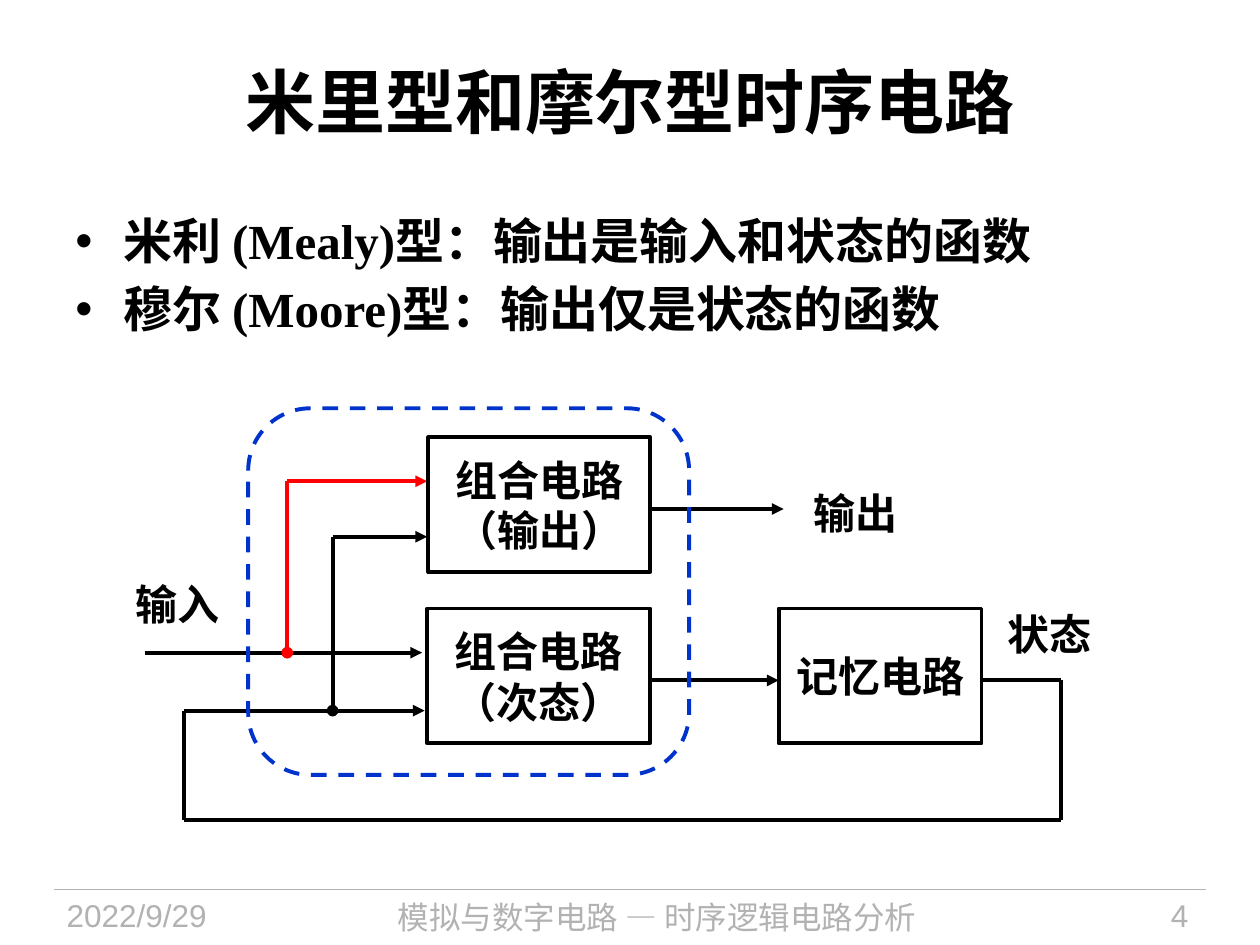
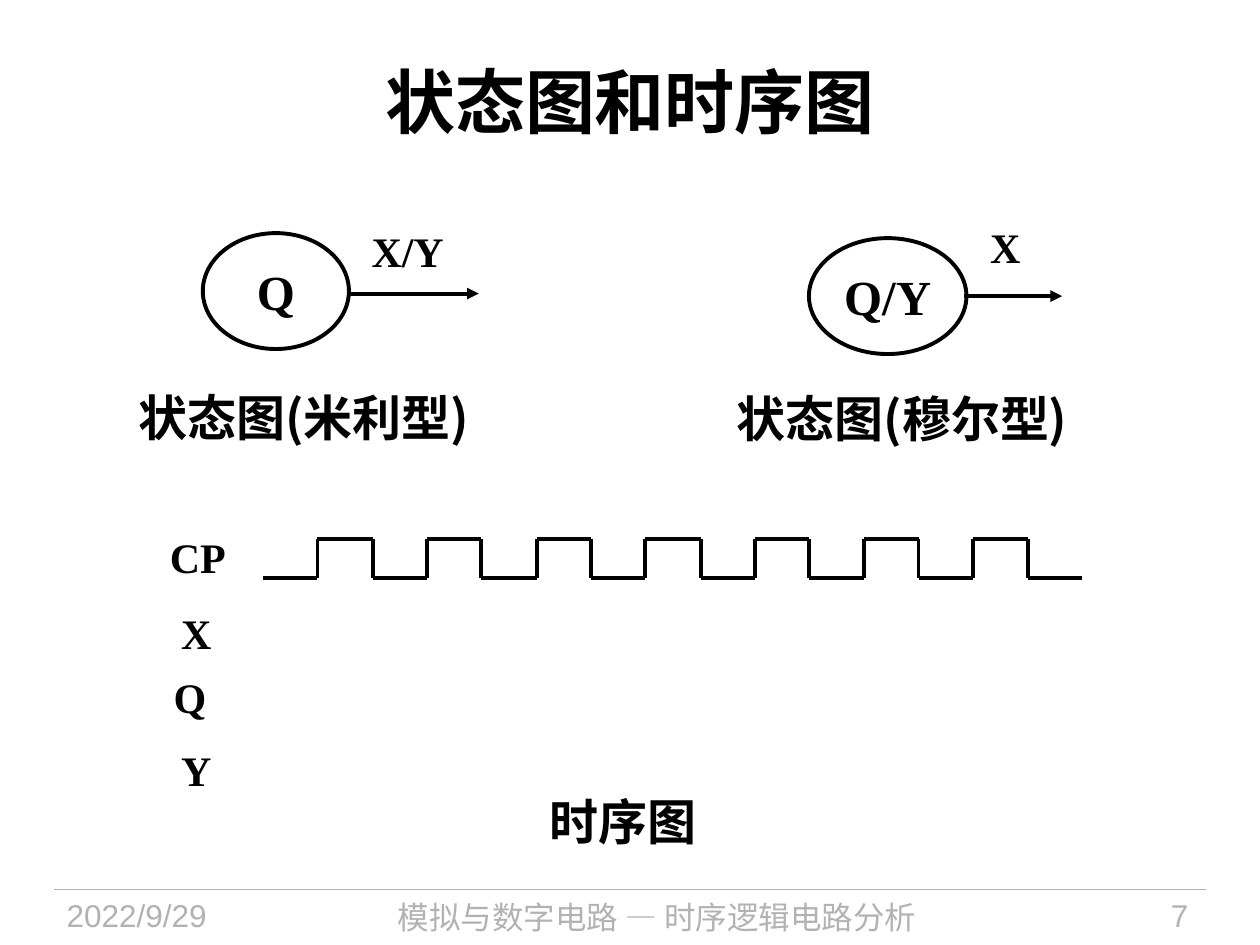
from dataclasses import dataclass

from lxml import etree
from pptx import Presentation
from pptx.dml.color import RGBColor
from pptx.enum.dml import MSO_LINE
from pptx.enum.shapes import MSO_CONNECTOR, MSO_SHAPE
from pptx.enum.text import MSO_ANCHOR, PP_ALIGN
from pptx.oxml.ns import qn
from pptx.util import Pt

PX = 9144
LEFT, CENTER, RIGHT = PP_ALIGN.LEFT, PP_ALIGN.CENTER, PP_ALIGN.RIGHT
TOP, MIDDLE = MSO_ANCHOR.TOP, MSO_ANCHOR.MIDDLE
RECT, ROUND, OVAL = MSO_SHAPE.RECTANGLE, MSO_SHAPE.ROUNDED_RECTANGLE, MSO_SHAPE.OVAL
STRAIGHT = MSO_CONNECTOR.STRAIGHT
DASH = MSO_LINE.DASH
ARIAL, TIMES, CJK = "Arial", "Times New Roman", "Noto Sans CJK SC"
COLORS = {"ink": "000000", "paper": "FFFFFF", "footer": "B2B2B2", "mealy": "FF0000", "frame": "0033CC"}
BLANK = 6


@dataclass
class Wire:
    x1: int
    y1: int
    x2: int
    y2: int
    tail: str = ""
    color: str = "ink"
    width: float = 2.25


@dataclass
class Node:
    x: int
    y: int
    w: int
    h: int
    text: str = ""
    kind: int = RECT
    font: str = ARIAL
    size: int = 24
    leading: float = 0
    fill: str = ""
    line: str = "ink"


@dataclass
class Label:
    x: int
    y: int
    w: int
    h: int
    text: str
    align: int = LEFT
    size: int = 24
    font: str = TIMES
    leading: float = 0
    wrap: bool = False
    indent: int = 0


def rgb(name: str) -> RGBColor:
    return RGBColor.from_string(COLORS[name])


def write(tf, text: str, *, size: int = 24, font: str = TIMES, color: str = "ink", bold: bool = True,
          align: int = LEFT, anchor: int = TOP, wrap: bool = True, leading: float = 0,
          before: float = 0, indent: int = 0, bullet: str = "") -> None:
    tf.word_wrap = wrap
    tf.vertical_anchor = anchor
    for i, line in enumerate(text.split("\n")):
        p = tf.paragraphs[0] if i == 0 else tf.add_paragraph()
        p.alignment = align
        if leading:
            p.line_spacing = Pt(leading)
        if i and before:
            p.space_before = Pt(before)
        pPr = p._p.get_or_add_pPr()
        if bullet:
            pPr.set("marL", str(indent * PX))
            pPr.set("indent", str(-indent * PX))
            etree.SubElement(pPr, qn("a:buFont")).set("typeface", ARIAL)
            etree.SubElement(pPr, qn("a:buChar")).set("char", bullet)
        elif indent:
            pPr.set("indent", str(indent * PX))
        r = p.add_run()
        r.text = line
        r.font.size = Pt(size)
        r.font.bold = bold
        r.font.name = font
        r.font.color.rgb = rgb(color)
        etree.SubElement(r._r.get_or_add_rPr(), qn("a:ea")).set("typeface", CJK)


def add_text(s, x: int, y: int, w: int, h: int, text: str, **fmt) -> None:
    box = s.shapes.add_textbox(x * PX, y * PX, w * PX, h * PX)
    write(box.text_frame, text, **fmt)


def add_label(s, label: Label) -> None:
    add_text(s, label.x, label.y, label.w, label.h, label.text, align=label.align, size=label.size,
             font=label.font, leading=label.leading, wrap=label.wrap, indent=label.indent)


def add_wire(s, wire: Wire) -> None:
    cxn = s.shapes.add_connector(STRAIGHT, wire.x1 * PX, wire.y1 * PX, wire.x2 * PX, wire.y2 * PX)
    cxn.line.color.rgb = rgb(wire.color)
    cxn.line.width = Pt(wire.width)
    if wire.tail:
        etree.SubElement(cxn.line._get_or_add_ln(), qn("a:tailEnd")).set("type", wire.tail)
    etree.SubElement(cxn._element.spPr, qn("a:effectLst"))


def add_node(s, node: Node):
    sp = s.shapes.add_shape(node.kind, node.x * PX, node.y * PX, node.w * PX, node.h * PX)
    sp.shadow.inherit = False
    if node.fill:
        sp.fill.solid()
        sp.fill.fore_color.rgb = rgb(node.fill)
    else:
        sp.fill.background()
    sp.line.color.rgb = rgb(node.line)
    sp.line.width = Pt(2.25)
    if node.text:
        tf = sp.text_frame
        tf.margin_left = tf.margin_top = tf.margin_right = tf.margin_bottom = 0
        write(tf, node.text, size=node.size, font=node.font, align=CENTER, anchor=MIDDLE,
              wrap=False, leading=node.leading)
    return sp


def add_slide(prs, title: str, number: int):
    s = prs.slides.add_slide(prs.slide_layouts[BLANK])
    add_wire(s, Wire(43, 706, 957, 706, color="footer", width=0.75))
    for x, w, text, align, font in (
        (43, 188, "2022/9/29", LEFT, ARIAL),
        (240, 563, "模拟与数字电路 — 时序逻辑电路分析", CENTER, CJK),
        (820, 133, str(number), RIGHT, ARIAL),
    ):
        add_text(s, x, 706, w, 44, text, size=18, font=font, color="footer", bold=False,
                 align=align, leading=0 if font == ARIAL else 23)
    add_text(s, 50, 17, 900, 125, title, size=40, align=CENTER, anchor=MIDDLE)
    return s


def build_circuit_models(prs) -> None:
    s = add_slide(prs, "米里型和摩尔型时序电路", 4)
    add_text(s, 50, 159, 900, 141,
             "米利 (Mealy)型：输出是输入和状态的函数\n穆尔 (Moore)型：输出仅是状态的函数",
             size=28, leading=36, before=3, indent=38, bullet="•")
    add_node(s, Node(618, 483, 161, 107, "记忆电路"))
    for wire in (
        Wire(115, 518, 335, 518, "triangle"),
        Wire(146, 564, 337, 564, "triangle"),
        Wire(264, 426, 339, 426, "triangle"),
        Wire(264, 426, 264, 564, "oval"),
        Wire(228, 382, 339, 382, "triangle", "mealy"),
        Wire(228, 382, 228, 518, "oval", "mealy"),
        Wire(512, 540, 618, 540, "triangle"),
        Wire(779, 540, 842, 540),
        Wire(842, 540, 842, 651),
        Wire(146, 651, 842, 651),
        Wire(146, 564, 146, 651),
        Wire(512, 404, 622, 404, "triangle"),
    ):
        add_wire(s, wire)
    for x, y, w, text in ((630, 379, 98, "输出"), (784, 475, 98, "状态"), (94, 451, 94, "输入")):
        add_label(s, Label(x, y, w, 50, text, CENTER, leading=31, wrap=True))
    frame = add_node(s, Node(197, 324, 350, 291, kind=ROUND, line="frame"))
    frame.adjustments[0] = 0.17
    frame.line.dash_style = DASH
    for x, y, w, role in ((340, 347, 176, "输出"), (339, 483, 177, "次态")):
        add_node(s, Node(x, y, w, 107, f"组合电路\n（{role}）", leading=29, fill="paper"))


def add_clock(s, left: int, right: int, high: int, low: int, periods: int) -> None:
    steps = 2 * periods + 1
    xs = [round(left + (right - left) * i / steps) for i in range(steps + 1)]
    for i in range(steps):
        level = high if i % 2 else low
        add_wire(s, Wire(xs[i], level, xs[i + 1], level))
        if i:
            add_wire(s, Wire(xs[i], high, xs[i], low))


def build_state_and_timing(prs) -> None:
    s = add_slide(prs, "状态图和时序图", 7)
    add_node(s, Node(161, 185, 116, 92, "Q", OVAL, TIMES, 28))
    add_node(s, Node(642, 189, 125, 92, "Q/Y", OVAL, TIMES, 28))
    add_wire(s, Wire(278, 233, 380, 233, "triangle"))
    add_wire(s, Wire(765, 235, 843, 235, "triangle"))
    for x, y, kind in ((92, 302, "米利"), (567, 303, "穆尔")):
        add_label(s, Label(x, y, 302, 57, f"状态图({kind}型)", size=28, font=CJK,
                           leading=34, wrap=True, indent=8))
    for x, y, w, text in (
        (285, 174, 78, "X/Y"),
        (776, 171, 44, "X"),
        (125, 417, 65, "CP"),
        (134, 477, 44, "X"),
        (128, 528, 46, "Q"),
        (134, 586, 44, "Y"),
    ):
        add_label(s, Label(x, y, w, 50, text))
    add_label(s, Label(421, 620, 147, 57, "时序图", CENTER, 28, ARIAL, 36))
    add_clock(s, 209, 859, 428, 459, 7)


def main() -> None:
    prs = Presentation()
    prs.slide_width, prs.slide_height = 1000 * PX, 750 * PX
    build_circuit_models(prs)
    build_state_and_timing(prs)
    prs.save("out.pptx")


if __name__ == "__main__":
    main()
